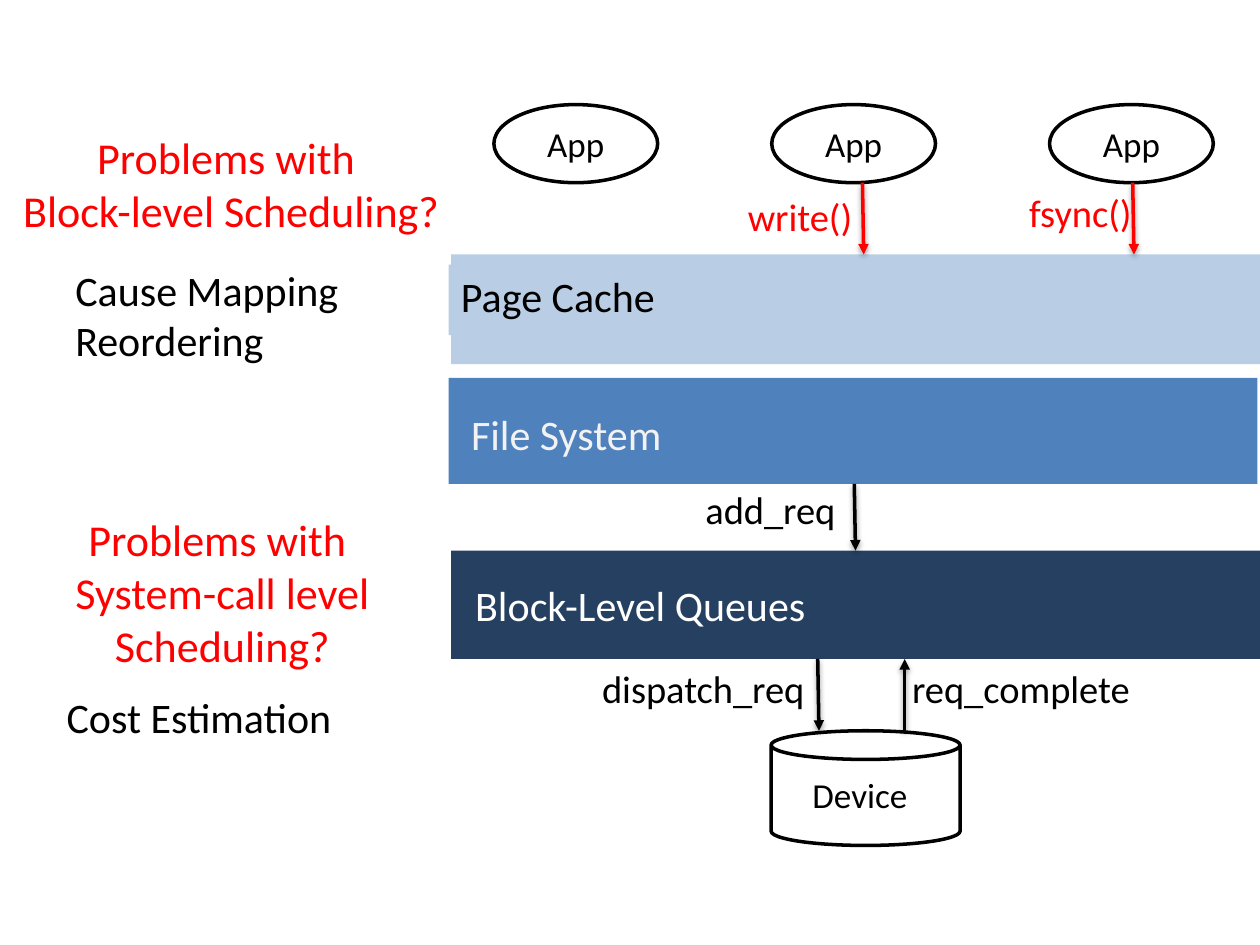
from lxml import etree
from pptx import Presentation
from pptx.dml.color import RGBColor
from pptx.enum.shapes import MSO_CONNECTOR, MSO_SHAPE
from pptx.enum.text import MSO_ANCHOR, MSO_AUTO_SIZE, PP_ALIGN
from pptx.oxml.ns import nsdecls, qn
from pptx.util import Inches, Pt

RECT, OVAL, CAN = MSO_SHAPE.RECTANGLE, MSO_SHAPE.OVAL, MSO_SHAPE.CAN
STRAIGHT = MSO_CONNECTOR.STRAIGHT
LEFT, CENTER = PP_ALIGN.LEFT, PP_ALIGN.CENTER
TOP, MIDDLE = MSO_ANCHOR.TOP, MSO_ANCHOR.MIDDLE
NO_FIT = MSO_AUTO_SIZE.NONE
FONT = "Calibri"
BLACK, WHITE, RED, PALE = "000000", "FFFFFF", "FF0000", "F2F2F2"
LIGHT, BLUE, NAVY = "B9CDE5", "4F81BD", "254061"

deck = Presentation()
deck.slide_width, deck.slide_height = Inches(10), Inches(7.5)
CELL = deck.slide_width / 100  # grid of 100 columns by 75 rows
slide = deck.slides.add_slide(deck.slide_layouts[5])
shapes = slide.shapes


def grid(*cells):
    return [round(c * CELL) for c in cells]


def paint(format, color):
    format.rgb = RGBColor.from_string(color)


def write(shape, text, size, color, align=LEFT, anchor=TOP):
    frame = shape.text_frame
    frame.auto_size = NO_FIT
    frame.word_wrap = True
    frame.vertical_anchor = anchor
    frame.text = text
    for para in frame.paragraphs:
        para.alignment = align
        para.font.name, para.font.size = FONT, Pt(size)
        paint(para.font.color, color)


def label(box, text, size, color=BLACK, align=LEFT, anchor=TOP):
    write(shapes.add_textbox(*grid(*box)), text, size, color, align, anchor)


def block(kind, box, fill, line=None):
    shape = shapes.add_shape(kind, *grid(*box))
    shape.shadow.inherit = False
    shape.fill.solid()
    paint(shape.fill.fore_color, fill)
    if line:
        paint(shape.line.color, line)
        shape.line.width = Pt(2)
    else:
        shape.line.fill.background()
    return shape


def arrow(x1, y1, x2, y2, color=BLACK):
    link = shapes.add_connector(STRAIGHT, *grid(x1, y1, x2, y2))
    paint(link.line.color, color)
    link.line.width = Pt(2)
    props = link._element.spPr
    etree.SubElement(props.find(qn("a:ln")), qn("a:tailEnd"), type="triangle")
    props.append(etree.fromstring(
        f'<a:effectLst {nsdecls("a")}>'
        '<a:outerShdw blurRad="40000" dist="20000" dir="5400000" rotWithShape="0">'
        '<a:srgbClr val="000000"><a:alpha val="38000"/></a:srgbClr>'
        '</a:outerShdw></a:effectLst>'))


def layer(box, fill, text, color, inner, align=LEFT):
    """A band with a name tag, placed from the band's corner."""
    block(RECT, box, fill)
    dx, dy, wide = inner
    tag = block(RECT, (box[0] + dx, box[1] + dy, wide, 5.6), fill)
    write(tag, text, 24, color, align)


def app(box, call=None, text_at=None, tip=0):
    """An app, with the system call that it makes below."""
    x, y, w, h = box
    write(block(OVAL, box, WHITE, BLACK), "App", 20, BLACK, CENTER, MIDDLE)
    if call:
        dx, dy = text_at
        label((x + dx, y + dy, 12.3, 5.2), call, 22, RED, CENTER)
        arrow(x + tip, y + h, x + tip + 0.1, y + h + 5.7, RED)


def device(box):
    """The disk, with its requests in the gap above."""
    x, y, w, h = box
    gap = 5.7
    block(CAN, box, WHITE, BLACK)
    label((x - 6.2, y + 2.9, 26.5, 4.8), "Device", 20, BLACK, CENTER)
    label((x - 14.4, y - gap, 19.8, 5.2), "dispatch_req", 22)
    arrow(x + 3.7, y - gap, x + 3.8, y)
    label((x + 10.2, y - gap, 20.5, 5.2), "req_complete", 22)
    arrow(x + 10.6, y, x + 10.6, y - gap)


# Headings and points at the left
title = shapes.title
title.left, title.top, title.width, title.height = grid(-0.3, 8.3, 37.3, 12.5)
write(title, "Problems with \vBlock-level Scheduling?", 25.2, RED, CENTER, MIDDLE)
label((5, 20.5, 50, 9.1), "Cause Mapping\nReordering", 24)
label((-1, 40.7, 37.3, 12.5),
      "Problems with \vSystem-call level Scheduling?", 25.2, RED, CENTER, MIDDLE)
label((4.3, 54.4, 50, 5), "Cost Estimation", 24)

# Storage layers
layer((35.8, 20.2, 64.2, 8.7), LIGHT, "Page Cache", BLACK, (-0.2, 0.8, 26.5))
layer((35.6, 30, 64.2, 8.4), BLUE, "File System", PALE, (0.8, 1.9, 60.1))
layer((35.8, 43.7, 64.2, 8.6), NAVY, "Block-Level Queues ", WHITE,
      (0.4, 1.8, 30), CENTER)
label((55, 38.1, 14.7, 5.2), "add_req", 22)
arrow(67.8, 38.4, 67.9, 43.7)

# Apps at the top, device at the bottom
calls = [(), ("write()", (-3.9, 6.5), 7.2), ("fsync()", (-3.7, 6.2), 6.6)]
for i, call in enumerate(calls):
    app((39.2 + 22.05 * i, 8.3, 13, 6.2), *call)
device((61.2, 58, 15, 9.1))

deck.save("out.pptx")
